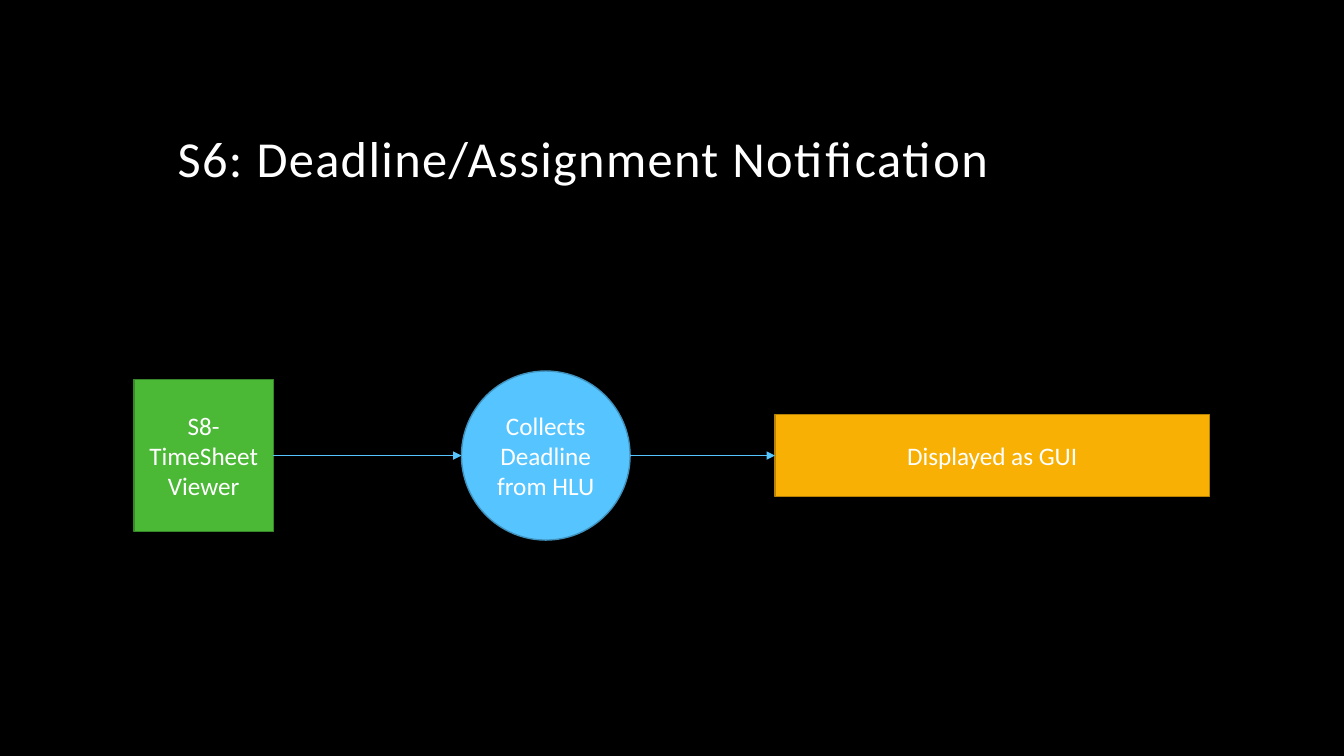
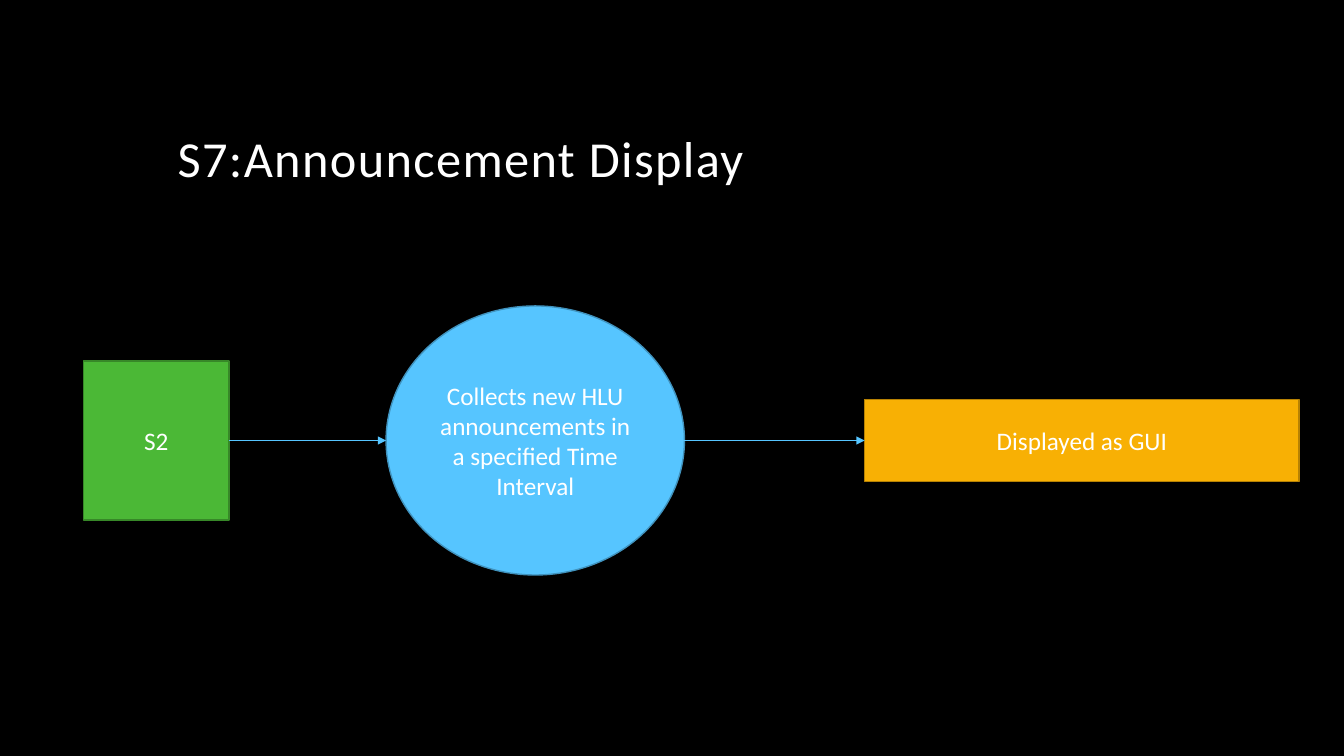
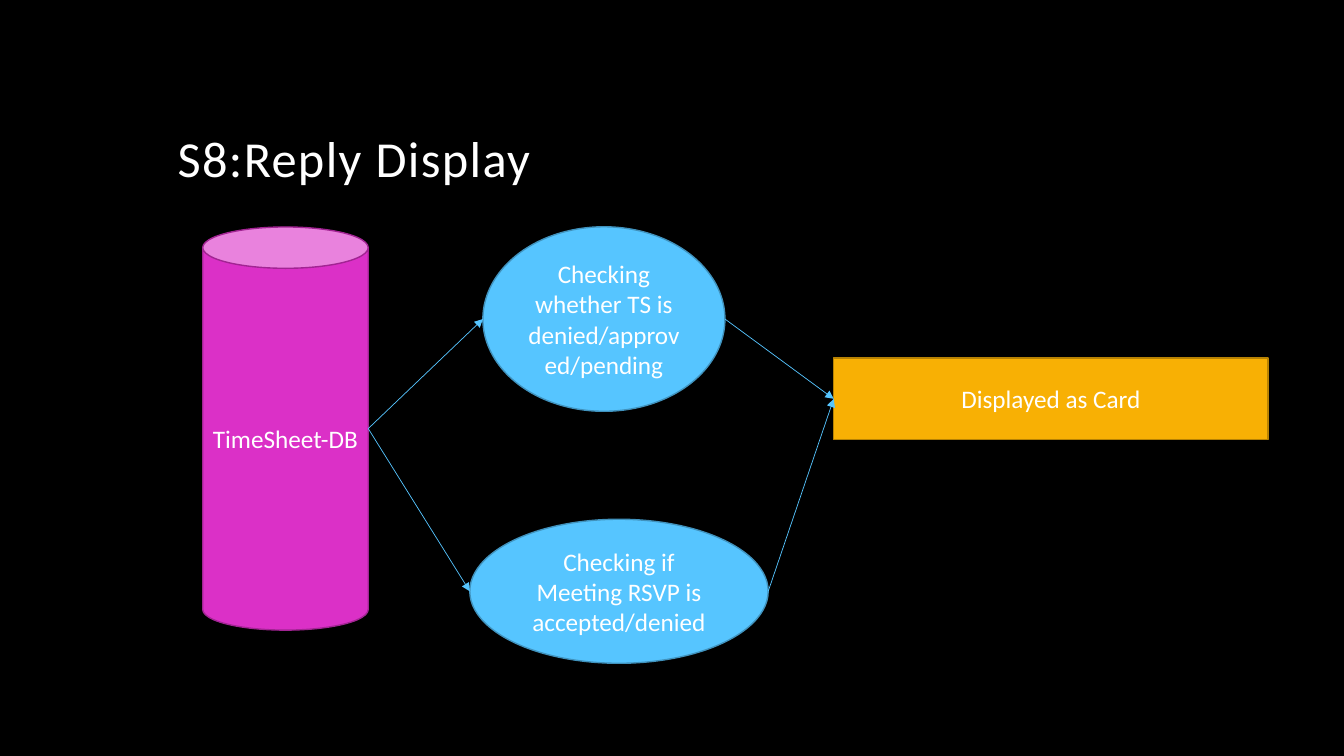
from dataclasses import dataclass

from lxml.etree import SubElement
from pptx import Presentation
from pptx.dml.color import RGBColor
from pptx.enum.shapes import MSO_CONNECTOR, MSO_SHAPE
from pptx.enum.text import MSO_ANCHOR, MSO_AUTO_SIZE, PP_ALIGN
from pptx.oxml.ns import qn
from pptx.presentation import Presentation as Deck
from pptx.shapes.autoshape import Shape
from pptx.slide import Slide
from pptx.text.text import Font
from pptx.util import Cm, Pt

COLORS = {
    "background": "000000",
    "text": "FFFFFF",
    "arrow": "56C5FF",
    "source": "4BB836",
    "source_line": "378828",
    "process": "56C5FF",
    "process_line": "4092BD",
    "output": "F8B004",
    "output_line": "B78203",
    "store": "DB30C7",
    "store_line": "A22493",
}
PRESETS = {
    "source": MSO_SHAPE.RECTANGLE,
    "process": MSO_SHAPE.OVAL,
    "output": MSO_SHAPE.RECTANGLE,
    "store": MSO_SHAPE.CAN,
}
FONT = "Calibri"
TITLE_ONLY = 5


@dataclass(frozen=True)
class Node:
    """A flow step; lengths in cm, placed by left edge and vertical middle."""
    kind: str
    text: str
    left: float
    middle: float
    width: float
    height: float


@dataclass(frozen=True)
class Flow:
    """A titled slide; each arrow is a pair of node indexes."""
    title: str
    nodes: list[Node]
    arrows: list[tuple[int, int]]


def output(text: str, left: float, middle: float) -> Node:
    return Node("output", text, left, middle, 10.95, 2.06)


FLOWS = [
    Flow("S6: Deadline/Assignment Notification", [
        Node("source", "S8-TimeSheetViewer", 3.38, 11.48, 3.51, 3.84),
        Node("process", "Collects Deadline from HLU", 11.63, 11.48, 4.25, 4.26),
        output("Displayed as GUI", 19.53, 11.48),
    ], [(0, 1), (1, 2)]),
    Flow("S7:Announcement Display", [
        Node("source", "S2", 2.11, 11.1, 3.66, 4.01),
        Node("process", "Collects new HLU announcements in a specified Time Interval",
             9.73, 11.1, 7.52, 6.78),
        output("Displayed as GUI", 21.79, 11.1),
    ], [(0, 1), (1, 2)]),
    Flow("S8:Reply Display", [
        Node("store", "TimeSheet-DB", 5.11, 10.8, 4.17, 10.16),
        Node("process", "Checking whether TS is denied/approved/pending",
             12.17, 8.04, 6.1, 4.65),
        Node("process", "Checking if Meeting RSVP is accepted/denied",
             11.84, 14.9, 7.52, 3.63),
        output("Displayed as Card", 21.01, 10.05),
    ], [(0, 1), (0, 2), (1, 3), (2, 3)]),
]


def color(name: str) -> RGBColor:
    return RGBColor.from_string(COLORS[name])


def style_font(font: Font, size: int) -> None:
    font.name = FONT
    font.size = Pt(size)
    font.color.rgb = color("text")


def set_title(s: Slide, text: str) -> None:
    title = s.shapes.title
    title.left, title.top, title.width, title.height = Cm(4.22), Cm(1.07), Cm(25.4), Cm(3.81)
    tf = title.text_frame
    tf.text = text
    tf.vertical_anchor = MSO_ANCHOR.BOTTOM
    tf.auto_size = MSO_AUTO_SIZE.NONE
    p = tf.paragraphs[0]
    p.alignment = PP_ALIGN.LEFT
    p.line_spacing = 0.9
    r = p.runs[0]
    style_font(r.font, 36)
    r._r.get_or_add_rPr().set("spc", "100")  # letter spacing of 1 pt


def add_node(s: Slide, node: Node) -> Shape:
    sp = s.shapes.add_shape(PRESETS[node.kind], Cm(node.left), Cm(node.middle - node.height / 2),
                            Cm(node.width), Cm(node.height))
    sp.shadow.inherit = False
    sp.fill.solid()
    sp.fill.fore_color.rgb = color(node.kind)
    sp.line.color.rgb = color(node.kind + "_line")
    sp.line.width = Pt(1)
    tf = sp.text_frame
    tf.text = node.text
    tf.word_wrap = True
    tf.vertical_anchor = MSO_ANCHOR.MIDDLE
    p = tf.paragraphs[0]
    p.alignment = PP_ALIGN.CENTER
    style_font(p.runs[0].font, 18)
    return sp


def add_arrow(s: Slide, start: Node, end: Node) -> None:
    """Run from the right edge of one node to the left edge of the next."""
    arrow = s.shapes.add_connector(MSO_CONNECTOR.STRAIGHT,
                                   Cm(start.left + start.width), Cm(start.middle),
                                   Cm(end.left), Cm(end.middle))
    arrow.line.color.rgb = color("arrow")
    arrow.line.width = Pt(0.5)
    SubElement(arrow.line._get_or_add_ln(), qn("a:tailEnd"), type="triangle")
    SubElement(arrow._element.spPr, qn("a:effectLst"))


def add_flow(prs: Deck, flow: Flow) -> None:
    s = prs.slides.add_slide(prs.slide_layouts[TITLE_ONLY])
    set_title(s, flow.title)
    for node in flow.nodes:
        add_node(s, node)
    for start, end in flow.arrows:
        add_arrow(s, flow.nodes[start], flow.nodes[end])


def main() -> None:
    prs = Presentation()
    prs.slide_width, prs.slide_height = Cm(33.87), Cm(19.05)
    # Shared background
    fill = prs.slide_master.background.fill
    fill.solid()
    fill.fore_color.rgb = color("background")
    for flow in FLOWS:
        add_flow(prs, flow)
    prs.save("out.pptx")


if __name__ == "__main__":
    main()
